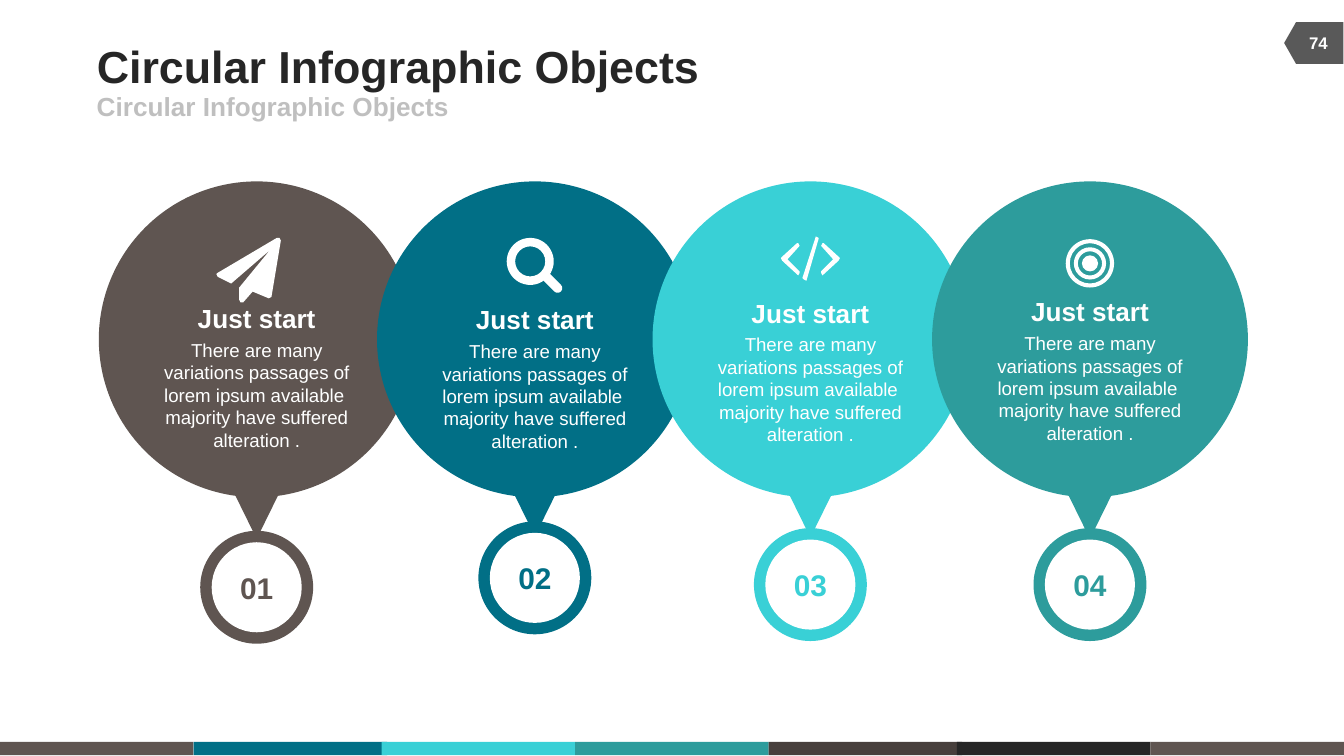
from pptx import Presentation
from pptx.dml.color import RGBColor
from pptx.enum.shapes import MSO_SHAPE
from pptx.enum.text import MSO_ANCHOR, PP_ALIGN
from pptx.util import Inches, Pt

RECTANGLE = MSO_SHAPE.RECTANGLE
ROUNDED = MSO_SHAPE.ROUNDED_RECTANGLE
OVAL = MSO_SHAPE.OVAL
DONUT = MSO_SHAPE.DONUT
TRIANGLE = MSO_SHAPE.ISOSCELES_TRIANGLE
PAGE_TAG = MSO_SHAPE.FLOWCHART_OFFPAGE_CONNECTOR
TOP, MIDDLE = MSO_ANCHOR.TOP, MSO_ANCHOR.MIDDLE
LEFT, CENTER = PP_ALIGN.LEFT, PP_ALIGN.CENTER

WHITE = "FFFFFF"
BODY = ("There are many variations passages of lorem ipsum available  "
        "majority have suffered alteration .")

# Widescreen 16:9 slide
presentation = Presentation()
presentation.slide_width = Inches(10)
presentation.slide_height = Inches(10 * 9 / 16)
slide = presentation.slides.add_slide(presentation.slide_layouts[5])
shapes = slide.shapes


def add_filled(kind, left, top, width, height, color):
    shape = shapes.add_shape(kind, Inches(left), Inches(top), Inches(width), Inches(height))
    shape.shadow.inherit = False
    shape.fill.solid()
    shape.fill.fore_color.rgb = RGBColor.from_string(color)
    shape.line.fill.background()
    return shape


def write(shape, text, size, color, bold=True, align=CENTER, anchor=MIDDLE, wrap=True):
    frame = shape.text_frame
    frame.margin_left = frame.margin_right = frame.margin_top = frame.margin_bottom = 0
    frame.word_wrap = wrap
    frame.vertical_anchor = anchor
    frame.text = text
    paragraph = frame.paragraphs[0]
    paragraph.alignment = align
    font = paragraph.runs[0].font
    font.name, font.size, font.bold = "Arial", Pt(size), bold
    font.color.rgb = RGBColor.from_string(color)


# Colour strip along the bottom
strip = [(0, "5F5551"), (1.44, "016F86"), (2.84, "39D0D6"), (4.28, "2D9C9C"),
         (5.72, "473F3C"), (7.12, "262626"), (8.56, "5F5551")]
for left, color in strip:
    add_filled(RECTANGLE, left, 5.52, 1.44, 0.1, color)

# Page number tag
tag = add_filled(PAGE_TAG, 9.62, 0.1, 0.31, 0.44, "595959")
tag.rotation = 90
number_box = shapes.add_textbox(Inches(9.6), Inches(0.17), Inches(0.42), Inches(0.3))
write(number_box, "74", 9, WHITE)

# Title and subtitle
title = shapes.title
title.left, title.top = Inches(0.72), Inches(0.29)
title.width, title.height = Inches(6.17), Inches(0.39)
write(title, "Circular Infographic Objects", 24, "262626", align=LEFT)
subtitle = shapes.add_textbox(Inches(0.72), Inches(0.68), Inches(4.5), Inches(0.22))
write(subtitle, "Circular Infographic Objects", 14, "BFBFBF", align=LEFT)

# Balloons: number, centre x, pointer top, heading top, ring top, colour
balloons = [
    ("01", 1.91, 3.4, 2.25, 3.95, "5F5551"),
    ("02", 3.98, 3.38, 2.26, 3.88, "016F86"),
    ("03", 6.03, 3.39, 2.21, 3.93, "39D0D6"),
    ("04", 8.11, 3.4, 2.2, 3.93, "2D9C9C"),
]
for number, center, pointer_top, heading_top, ring_top, color in balloons:
    pointer = add_filled(TRIANGLE, center - 0.3, pointer_top, 0.6, 0.61, color)
    pointer.rotation = 180
    add_filled(OVAL, center - 2.35 / 2, 1.35, 2.35, 2.35, color)

    body = shapes.add_textbox(Inches(center - 0.72), Inches(heading_top + 0.27),
                              Inches(1.44), Inches(0.84))
    write(body, BODY, 10, WHITE, bold=False, anchor=TOP)
    heading = shapes.add_textbox(Inches(center - 0.44), Inches(heading_top),
                                 Inches(0.88), Inches(0.24))
    write(heading, "Just start", 14, WHITE, anchor=TOP, wrap=False)

    add_filled(OVAL, center - 0.42, ring_top, 0.84, 0.84, color)
    inset = (0.84 - 0.67) / 2
    disc = add_filled(OVAL, center - 0.42 + inset, ring_top + inset, 0.67, 0.67, WHITE)
    write(disc, number, 16, color)

# Paper plane and code icons
plane = [(2.09, 1.79), (2.02, 2.21), (2, 2.22), (1.88, 2.17), (1.81, 2.25), (1.79, 2.25),
         (1.78, 2.23), (1.78, 2.14), (2.01, 1.86), (1.72, 2.11), (1.62, 2.06), (1.61, 2.04),
         (1.62, 2.03), (2.06, 1.77), (2.08, 1.77)]
left_bracket = [(5.94, 2.05), (5.82, 1.94), (5.81, 1.92), (5.93, 1.81), (5.94, 1.81),
                (5.95, 1.83), (5.86, 1.93), (5.95, 2.02), (5.95, 2.03)]
slash = [(6, 2.09), (5.98, 2.08), (5.97, 2.07), (6.07, 1.76), (6.09, 1.77), (6.09, 1.78)]
right_bracket = [(12.06 - x, y) for x, y in left_bracket]
for outline in (plane, left_bracket, slash, right_bracket):
    points = [(Inches(x), Inches(y)) for x, y in outline]
    builder = shapes.build_freeform(*points[0], scale=1)
    builder.add_line_segments(points[1:], close=True)
    icon = builder.convert_to_shape()
    icon.shadow.inherit = False
    icon.fill.solid()
    icon.fill.fore_color.rgb = RGBColor.from_string(WHITE)
    icon.line.fill.background()

# Magnifier icon
lens = add_filled(DONUT, 3.77, 1.77, 0.35, 0.35, WHITE)
lens.adjustments[0] = 0.18
handle = add_filled(ROUNDED, 4.02, 2.07, 0.18, 0.07, WHITE)
handle.adjustments[0] = 0.5
handle.rotation = 45

# Target icon: two rings around a dot
for diameter in (0.36, 0.24):
    ring = add_filled(DONUT, 8.11 - diameter / 2, 1.96 - diameter / 2,
                      diameter, diameter, WHITE)
    ring.adjustments[0] = 0.03 / diameter
add_filled(OVAL, 8.05, 1.9, 0.12, 0.12, WHITE)

presentation.save("out.pptx")
